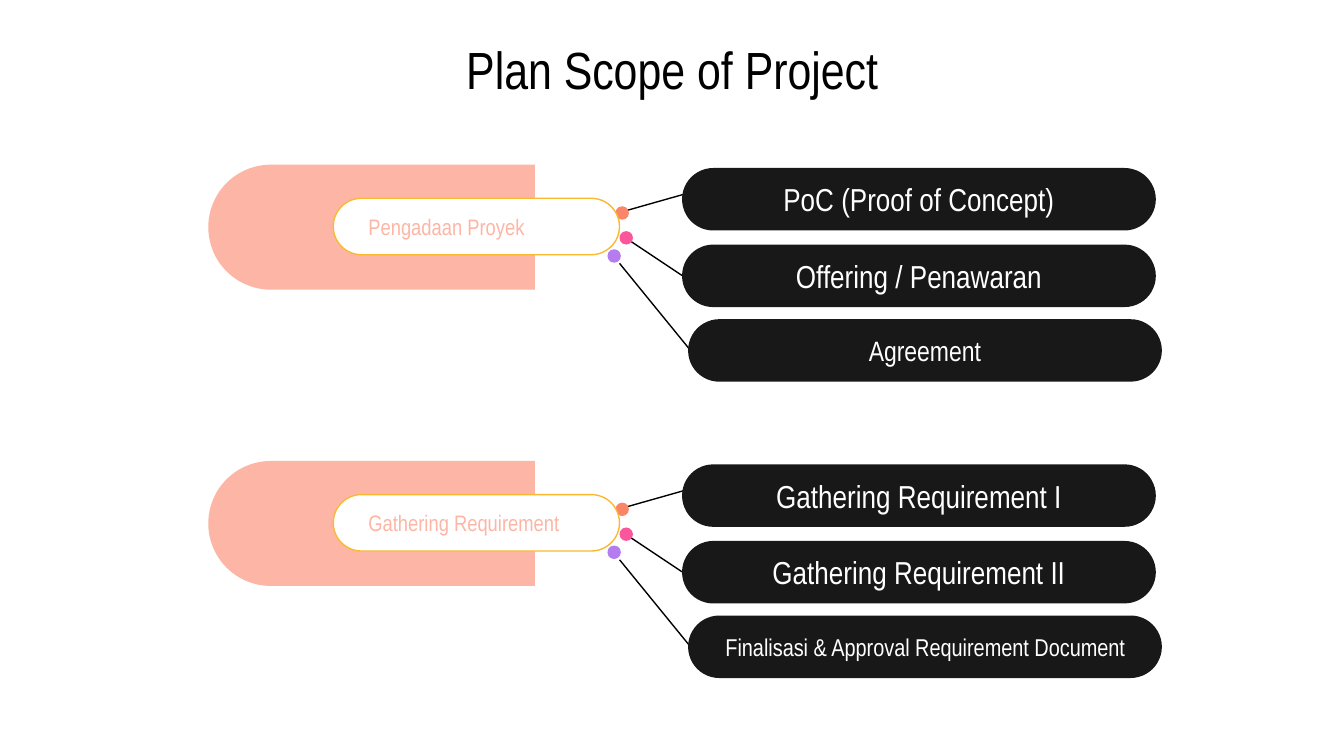
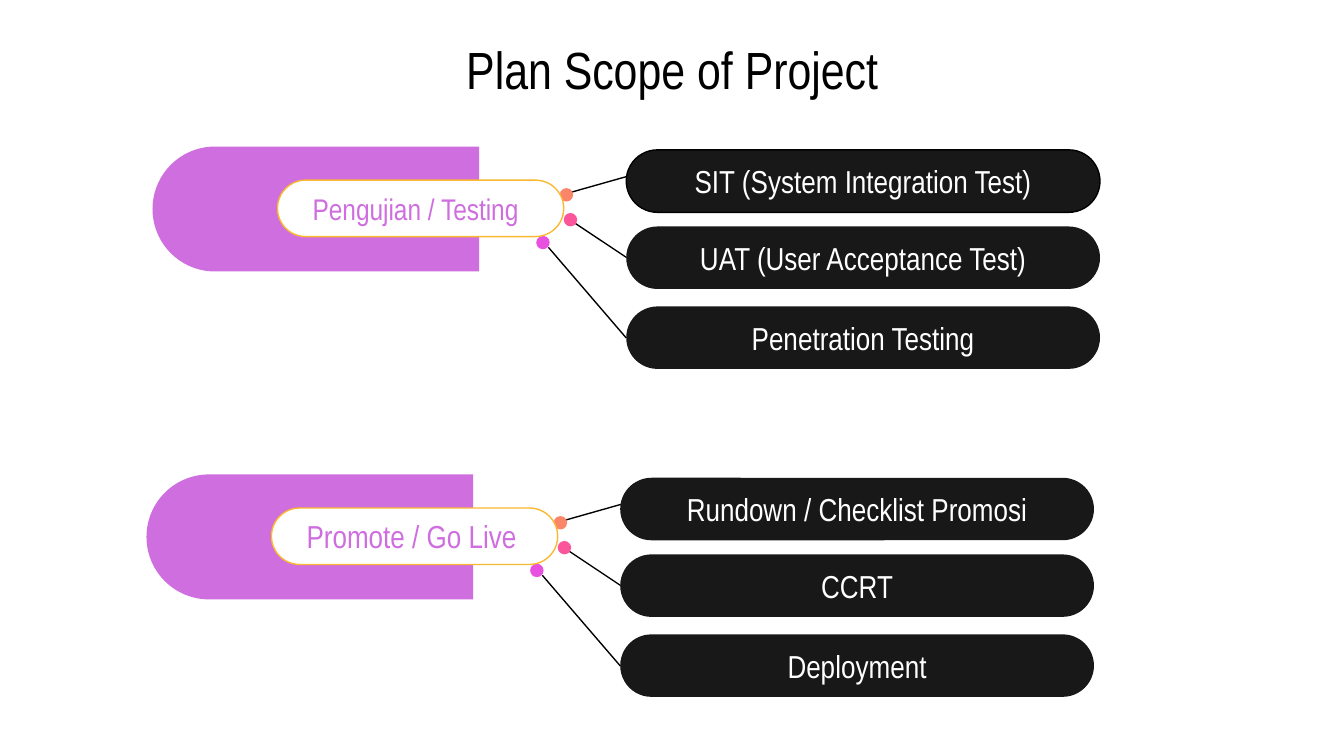
"""Builds two slides that map project phases to their scope items."""
from lxml import etree
from pptx import Presentation
from pptx.dml.color import RGBColor as RGB
from pptx.enum.shapes import MSO_CONNECTOR as LINE, MSO_SHAPE as SHAPE
from pptx.enum.text import MSO_ANCHOR as ANCHOR, PP_ALIGN as ALIGN
from pptx.oxml.ns import qn
from pptx.util import Pt

PX = 4572
COLORS = {
    "black": "000000", "white": "FFFFFF", "pill": "181818", "gold": "FBB831",
    "orange": "FB8569", "pink": "FB569C", "violet": "B47CEE", "magenta": "E850E0",
    "peach": "FDB6A5", "orchid": "CE6EDF",
}
FONT = "Arial Narrow"
FRAME = {"word_wrap": True, "vertical_anchor": ANCHOR.MIDDLE}
INSETS = {"margin_left": 20, "margin_top": 20, "margin_right": 20, "margin_bottom": 20}

NEAR = [
    {"pill": (0, 0), "dot": (-99, 57), "line": (21, 34, -85, 64), "color": "orange"},
    {"pill": (0, 114), "dot": (-93, 94), "line": (-81, 106, 0, 160), "color": "pink"},
]
SHIFTED = NEAR + [
    {"pill": (9, 225), "dot": (-111, 121), "line": (-93, 142, 13, 272), "color": "violet"}]
ALIGNED = NEAR + [
    {"pill": (0, 233), "dot": (-134, 128), "line": (0, 280, -116, 145), "color": "magenta"}]

SLIDES = [
    {"color": "peach", "branches": SHIFTED, "phases": [
        (1015, 250, "Pengadaan Proyek", 12,
         [("PoC (Proof of Concept)", 17), ("Offering / Penawaran", 17), ("Agreement", 15)]),
        (1015, 691, "Gathering Requirement", 12,
         [("Gathering Requirement I", 17), ("Gathering Requirement II", 17),
          ("Finalisasi & Approval Requirement Document", 13)]),
    ]},
    {"color": "orchid", "branches": ALIGNED, "phases": [
        (932, 223, "Pengujian / Testing", 16,
         [("SIT (System Integration Test)", 17, "black"), ("UAT (User Acceptance Test)", 17),
          ("Penetration Testing", 17)]),
        (923, 711, "Promote / Go Live", 17,
         [("Rundown / Checklist Promosi", 17), ("CCRT", 17), ("Deployment", 17)]),
    ]},
]


class Deck:
    """Holds the style and the current slide."""

    def __init__(self):
        self.prs = Presentation()
        self.prs.slide_width, self.prs.slide_height = 2000 * PX, 1125 * PX
        self.s = None

    def color(self, name):
        return RGB.from_string(COLORS[name])

    def new_slide(self):
        self.s = self.prs.slides.add_slide(self.prs.slide_layouts[6])

    def text(self, sp, text, size, color, align=ALIGN.CENTER, left=20):
        tf = sp.text_frame
        for k, v in FRAME.items():
            setattr(tf, k, v)
        for k, v in {**INSETS, "margin_left": left}.items():
            setattr(tf, k, v * PX)
        p = tf.paragraphs[0]
        p.alignment = align
        r = p.add_run()
        r.text = text
        for k, v in {"name": FONT, "size": Pt(size)}.items():
            setattr(r.font, k, v)
        r.font.color.rgb = self.color(color)

    def title(self, text):
        sp = self.s.shapes.add_textbox(*[v * PX for v in (155, 49, 1690, 106)])
        self.text(sp, text, 28, "black")

    def shape(self, kind, box, fill, line=None, adj=(), parent=None):
        sp = (parent or self.s).shapes.add_shape(kind, *[v * PX for v in box])
        sp.shadow.inherit = False
        for i, v in enumerate(adj):
            sp.adjustments[i] = v
        sp.fill.solid()
        sp.fill.fore_color.rgb = self.color(fill)
        if line:
            sp.line.color.rgb = self.color(line)
            sp.line.width = Pt(0.75)
        else:
            sp.line.fill.background()
        return sp

    def pill(self, x, y, text, size, line=None):
        sp = self.shape(SHAPE.ROUNDED_RECTANGLE, (x, y, 705, 93), "pill", line, [0.5])
        self.text(sp, text, size, "white")

    def dot(self, x, y, color):
        self.shape(SHAPE.OVAL, (x, y, 20, 20), color)

    def line(self, *ends):
        sp = self.s.shapes.add_connector(LINE.STRAIGHT, *[v * PX for v in ends])
        sp.line.color.rgb = self.color("black")
        sp.line.width = Pt(0.75)
        etree.SubElement(sp._element.spPr, qn("a:effectLst"))

    def label(self, x, y, text, size, color):
        group = self.s.shapes.add_group_shape()
        tab = self.shape(SHAPE.ROUND_2_SAME_RECTANGLE, (x - 555, y - 155, 186, 486),
                         color, adj=[0.5, 0], parent=group)
        tab.rotation = 270
        sp = self.shape(SHAPE.ROUNDED_RECTANGLE, (x - 519, y + 45, 426, 84),
                        "white", "gold", [0.5], group)
        self.text(sp, text, size, color, ALIGN.LEFT, 40)

    def phase(self, x, y, name, size, items, branches, color):
        for branch, item in zip(branches, items):
            x1, y1, x2, y2 = branch["line"]
            self.line(x + x1, y + y1, x + x2, y + y2)
            dx, dy = branch["pill"]
            self.pill(x + dx, y + dy, *item)
            dx, dy = branch["dot"]
            self.dot(x + dx, y + dy, branch["color"])
        self.label(x, y, name, size, color)


def main():
    deck = Deck()
    for page in SLIDES:
        deck.new_slide()
        deck.title("Plan Scope of Project")
        for phase in page["phases"]:
            deck.phase(*phase, page["branches"], page["color"])
    deck.prs.save("out.pptx")


if __name__ == "__main__":
    main()
